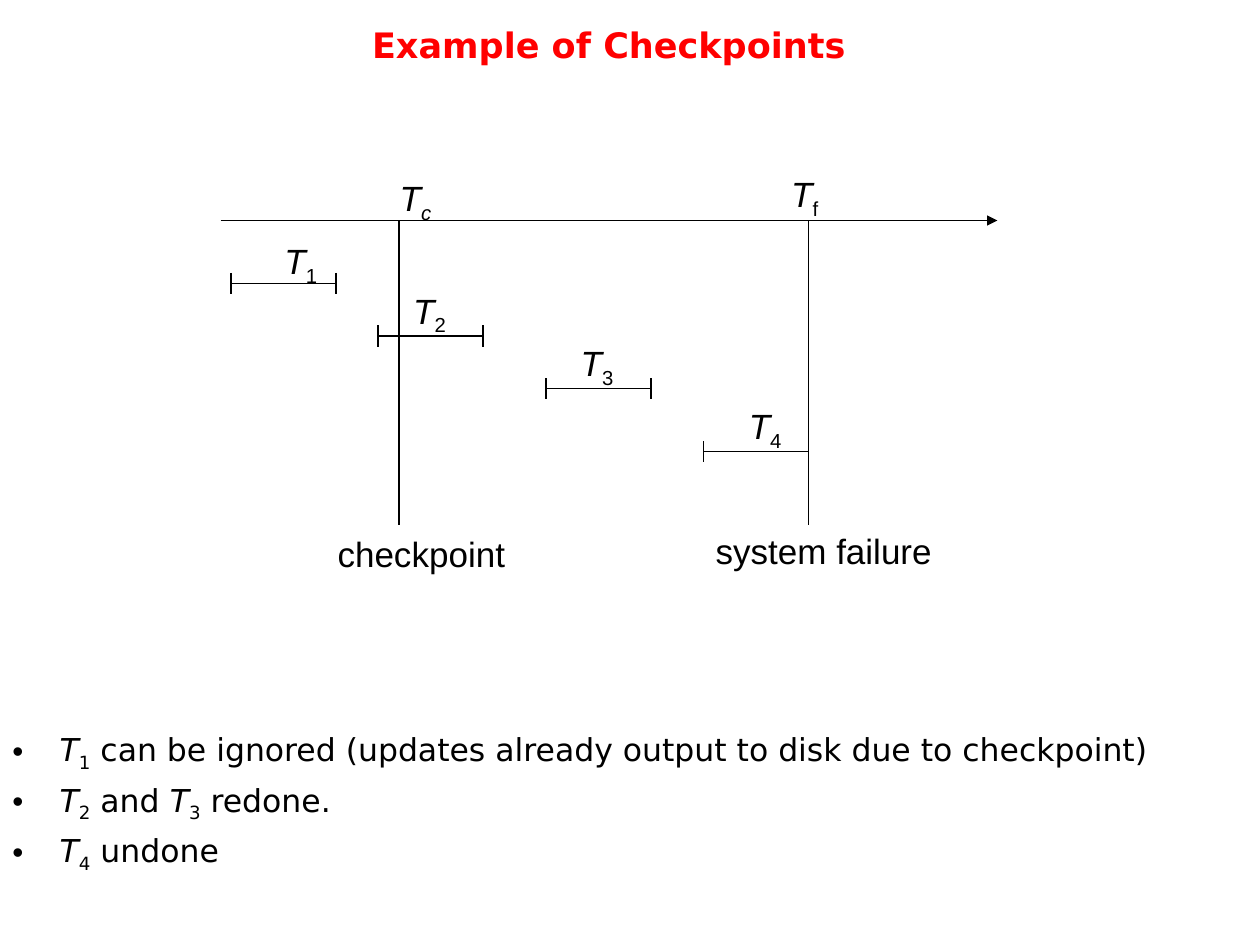
from pptx import Presentation
from pptx import util as u
from pptx.dml.color import RGBColor
from pptx.enum import shapes, text
from pptx.oxml.ns import qn
from lxml import etree

Pt = u.Pt
COLORS = {"title": "FF0000", "ink": "000000"}

presentation = Presentation()
presentation.slide_width, presentation.slide_height = Pt(720), Pt(540)
slide = presentation.slides.add_slide(presentation.slide_layouts[6])


def add_text(box, paragraphs, font, size, color="ink"):
    """Add a text box; each paragraph lists (text, style), style holding i, b or s (subscript)."""
    shape = slide.shapes.add_textbox(*(Pt(value) for value in box))
    frame = shape.text_frame
    frame.word_wrap = True
    for index, parts in enumerate(paragraphs):
        paragraph = frame.paragraphs[0] if index == 0 else frame.add_paragraph()
        for words, style in parts:
            run = paragraph.add_run()
            run.text = words
            run.font.name, run.font.size = font, Pt(size)
            run.font.color.rgb = RGBColor.from_string(COLORS[color])
            run.font.italic = "i" in style
            run.font.bold = "b" in style
            if "s" in style:
                run.font._element.set("baseline", "-25000")
    return frame


def add_line(x1, y1, x2, y2):
    line = slide.shapes.add_connector(
        shapes.MSO_CONNECTOR.STRAIGHT, Pt(x1), Pt(y1), Pt(x2), Pt(y2))
    line.line.width = Pt(0.75)
    line.line.color.rgb = RGBColor.from_string(COLORS["ink"])
    etree.SubElement(line._element.spPr, qn("a:effectLst"))
    return line


# Title
title = add_text((24, 0, 648, 50.4), [[("Example of Checkpoints", "b")]],
                 "DejaVu Sans", 20, "title")
title.vertical_anchor = text.MSO_ANCHOR.MIDDLE
title.paragraphs[0].alignment = text.PP_ALIGN.CENTER

# Time axis with the checkpoint and failure moments
axis_y = 126
axis = add_line(126, axis_y, 570, axis_y)
etree.SubElement(axis.line._get_or_add_ln(), qn("a:tailEnd"), type="triangle")
for moment_x in (228, 462):
    add_line(moment_x, axis_y, moment_x, 300)

# Transactions: start and height of each bar
bar_length, tick = 60, 6
for x, y in [(132, 162), (216, 192), (312, 222), (402, 258)]:
    add_line(x, y, x + bar_length, y)
    for end_x in (x, x + bar_length):
        add_line(end_x, y - tick, end_x, y + tick)

# Labels: left, top, width, height, parts
labels = [
    (221.3, 97.2, 36, 34.6, [("T", "i"), ("c", "is")]),
    (445, 95, 36, 34.6, [("T", "i"), ("f", "s")]),
    (155.5, 133.2, 36, 34.6, [("T", "i"), ("1", "s")]),
    (229, 161.6, 36, 34.6, [("T", "i"), ("2", "s")]),
    (324.7, 191.5, 36, 34.6, [("T", "i"), ("3", "s")]),
    (420.8, 227.5, 36, 34.6, [("T", "i"), ("4", "s")]),
    (185.8, 301, 114, 31.7, [("checkpoint", "")]),
    (401.8, 298.8, 142, 31.7, [("system failure", "")]),
]
for *box, parts in labels:
    add_text(box, [parts], "Arial", 20)

# Outcome of each transaction
outcomes = add_text((0, 413.5, 720, 108), [
    [("T", "i"), ("1", "s"),
     (" can be ignored (updates already output to disk due to checkpoint)", "")],
    [("T", "i"), ("2", "s"), (" and ", ""), ("T", "i"), ("3", "s"), (" redone.", "")],
    [("T", "i"), ("4", "s"), (" undone", "")],
], "DejaVu Sans", 18)
for index, paragraph in enumerate(outcomes.paragraphs):
    properties = paragraph._p.get_or_add_pPr()
    properties.set("marL", str(Pt(27)))
    properties.set("indent", str(Pt(-27)))
    bullet_color = etree.SubElement(properties, qn("a:buClr"))
    etree.SubElement(bullet_color, qn("a:srgbClr"), val=COLORS["ink"])
    etree.SubElement(properties, qn("a:buFont"), typeface="Arial")
    etree.SubElement(properties, qn("a:buChar"), char="•")
    if index:
        paragraph.space_before = Pt(4.5)

presentation.save("out.pptx")
